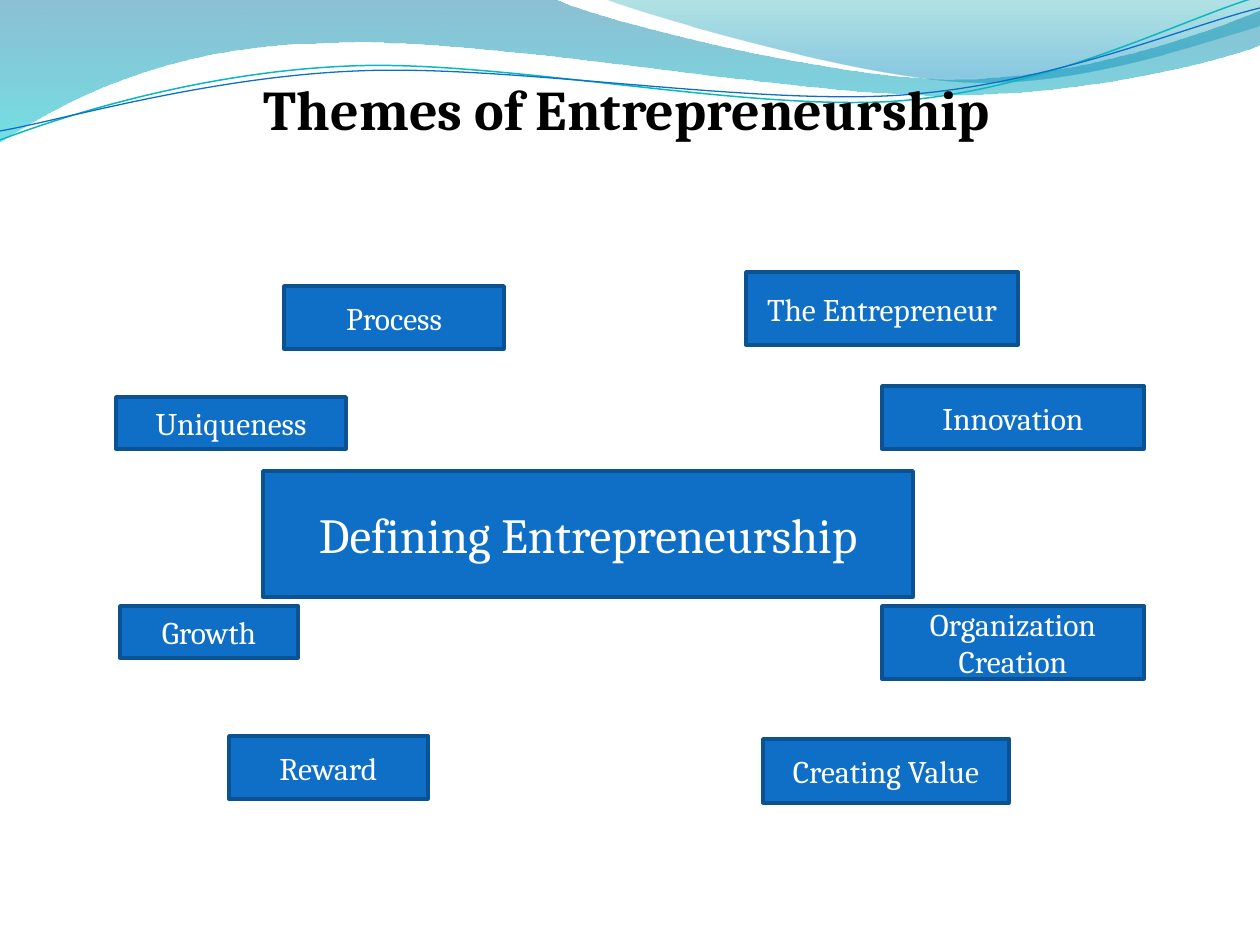
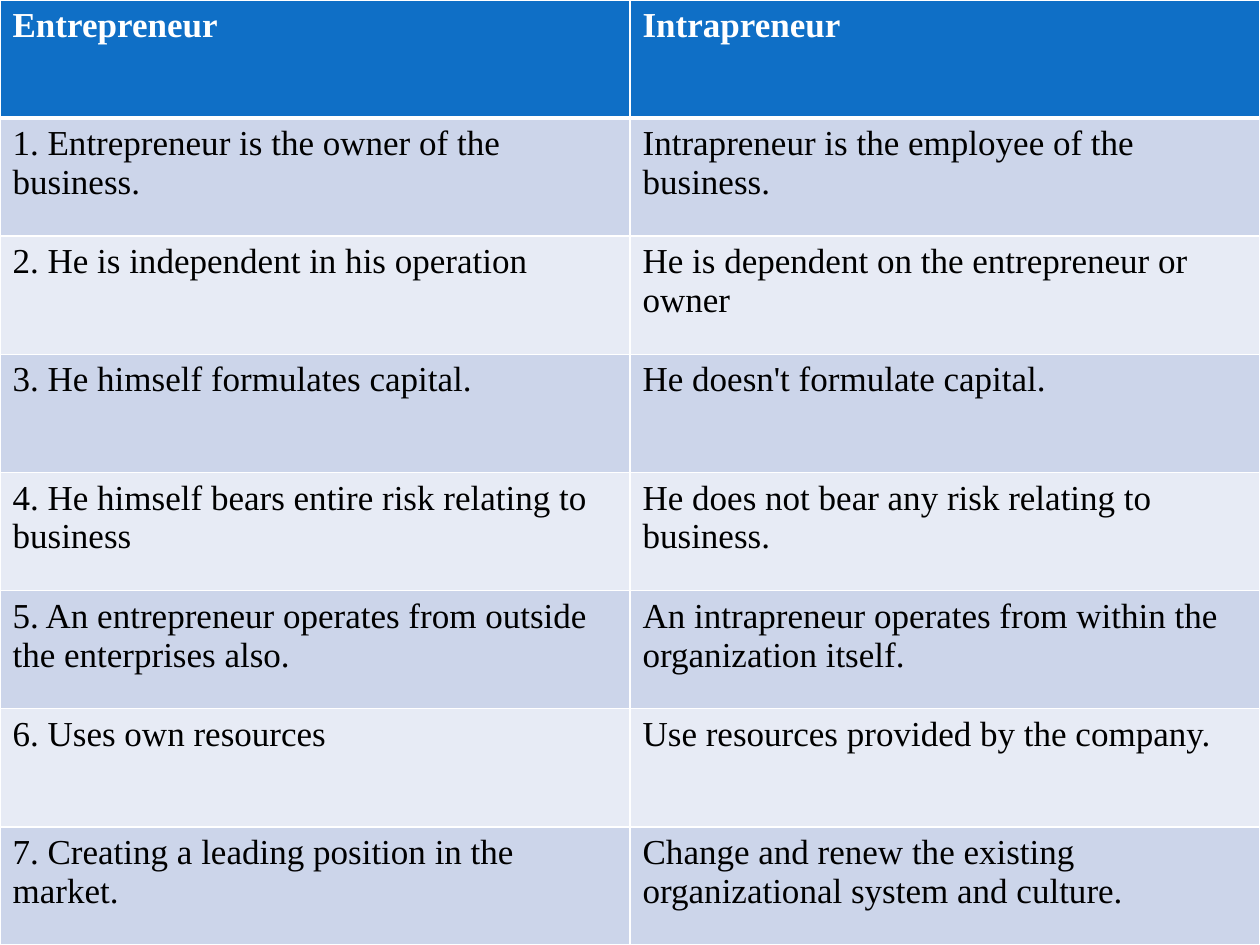
"""Build two slides on entrepreneurship: a map of themes and a comparison table."""
from lxml.etree import SubElement as Sub
from pptx import Presentation
from pptx.dml.color import RGBColor as Rgb
from pptx.enum.shapes import MSO_SHAPE as Kind
from pptx.enum.text import MSO_ANCHOR as Anchor, PP_ALIGN as Align
from pptx.oxml.ns import qn
from pptx.util import Pt

PX = 914400 / 126
WIDE, HIGH = 1260, 945
HUE = {
    "white": "FFFFFF", "black": "000000", "blue": "0F6FC6", "edge": "0B5292",
    "teal": "0AB8BF", "odd": "CCD5EA", "even": "E7EBF5",
    "deep": "0074A1", "cyan": "00C6CF", "sea": "00A1A9", "sky": "008BBF",
}
SERIF, ROMAN = "Cambria", "Times New Roman"


def write(frame, text, face, size, hue, bold=False):
    """Add one styled run to the first paragraph and return the paragraph."""
    para = frame.paragraphs[0]
    run = para.add_run()
    run.text = text
    run.font.name, run.font.size, run.font.bold = face, Pt(size), bold
    run.font.color.rgb = Rgb.from_string(HUE[hue])
    return para


def trace(slide, start, parts, close):
    """Draw an outline of line ends and cubic curves, and return the shape."""
    spots = [spot for part in parts for spot in zip(part[::2], part[1::2])]
    pen = slide.shapes.build_freeform(*start, scale=PX)
    pen.add_line_segments(spots, close=close)
    shape = pen.convert_to_shape()
    shape.shadow.inherit = False
    lines = iter(list(shape.element.iter(qn("a:lnTo"))))
    for part in parts:
        curve = next(lines)
        if len(part) == 6:
            curve.tag = qn("a:cubicBezTo")
            for _ in range(2):
                line = next(lines)
                curve.append(line[0])
                line.getparent().remove(line)
    return shape


deck = Presentation()
deck.slide_width, deck.slide_height = round(WIDE * PX), round(HIGH * PX)
blank = deck.slide_layouts[6]
themes = deck.slides.add_slide(blank)
decor = []

bands = [
    ((0, 0), [(554, -1), (600, 21, 837, 79, 955, 79),
              (1075, 79, 1207, 33, 1260, 11), (1261, 45),
              (1239, 55, 1096, 96, 940, 95), (784, 95, 481, 35, 324, 43),
              (163, 45, 58, 105, -1, 142)],
     [(0, "deep", 45), (1, "cyan", 55)]),
    ((604, -1), [(641, 14, 859, 78, 969, 82), (1079, 87, 1211, 40, 1260, 26),
                 (1260, 0)],
     [(0, "sea", 30), (0.8, "sky", 45)]),
]
for start, parts, stops in bands:
    band = trace(themes, start, parts, True)
    band.line.fill.background()
    band.fill.gradient()
    band.fill.gradient_angle = 270
    for stop, (place, hue, _) in zip(band.fill.gradient_stops, stops):
        stop.position = place
        stop.color.rgb = Rgb.from_string(HUE[hue])
    tints = band.element.spPr.iter(qn("a:srgbClr"))
    for tint, (_, _, alpha) in zip(list(tints), stops):
        Sub(tint, qn("a:alpha"), val=str(alpha * 1000))
    decor.append(band)

waves = [
    ((0, 140), [(60, 117, 199, 72, 349, 66), (498, 59, 747, 112, 898, 101),
                (1050, 89, 1182, 19, 1257, -3)], "teal", 0.85),
    ((0, 131), [(59, 121, 207, 77, 357, 71), (508, 64, 752, 106, 903, 95),
                (1053, 84, 1186, 26, 1260, 8)], "blue", 0.75),
]
for start, parts, hue, thick in waves:
    wave = trace(themes, start, parts, False)
    wave.fill.background()
    wave.line.color.rgb = Rgb.from_string(HUE[hue])
    wave.line.width = Pt(thick)
    decor.append(wave)

for shape in decor:
    blank.shapes._spTree.append(shape.element)

title = themes.shapes.add_textbox(0, 0, deck.slide_width, deck.slide_height)
frame = title.text_frame
frame.word_wrap = True
frame.margin_left, frame.margin_top = round(264 * PX), round(75 * PX)
write(frame, "Themes of Entrepreneurship", SERIF, 32, "black", True)

boxes = [
    ("Defining Entrepreneurship", 28, (263, 471, 650, 126)),
    ("Uniqueness", 18, (116, 397, 230, 52)),
    ("Process", 18, (284, 286, 220, 63)),
    ("The Entrepreneur", 18, (746, 272, 272, 73)),
    ("Innovation", 18, (882, 386, 262, 63)),
    ("Reward", 18, (229, 736, 199, 63)),
    ("Creating Value", 18, (763, 739, 246, 64)),
    ("Organization Creation", 18, (882, 606, 262, 73)),
    ("Growth", 18, (120, 606, 178, 52)),
]
for text, size, spot in boxes:
    box = themes.shapes.add_shape(Kind.RECTANGLE, *[round(n * PX) for n in spot])
    box.shadow.inherit = False
    box.fill.solid()
    box.fill.fore_color.rgb = Rgb.from_string(HUE["blue"])
    box.line.color.rgb = Rgb.from_string(HUE["edge"])
    box.line.width = Pt(2)
    box.text_frame.word_wrap = True
    box.text_frame.vertical_anchor = Anchor.MIDDLE
    write(box.text_frame, text, SERIF, size, "white").alignment = Align.CENTER

versus = deck.slides.add_slide(blank)
rows = [
    ("Entrepreneur", "Intrapreneur"),
    ("1. Entrepreneur is the owner of the business.",
     "Intrapreneur is the employee of the business."),
    ("2. He is independent in his operation",
     "He is dependent on the entrepreneur or owner"),
    ("3. He himself formulates capital.", "He doesn't formulate capital."),
    ("4. He himself bears entire risk relating to business",
     "He does not bear any risk relating to business."),
    ("5. An entrepreneur operates from outside the enterprises also.",
     "An intrapreneur operates from within the organization itself."),
    ("6. Uses own resources", "Use resources provided by the company."),
    ("7. Creating a leading position in the market.",
     "Change and renew the existing organizational system and culture."),
]
grid = versus.shapes.add_table(len(rows), 2, 0, 0, deck.slide_width,
                               deck.slide_height).table
for i, row in enumerate(rows):
    head = i == 0
    hue = "blue" if head else "odd" if i % 2 else "even"
    for j, text in enumerate(row):
        cell = grid.cell(i, j)
        props = cell._tc.get_or_add_tcPr()
        for side in "LRTB":
            thick = 3 if (head and side == "B") or (i == 1 and side == "T") else 1
            rule = Sub(props, qn("a:ln" + side), w=str(Pt(thick)))
            Sub(Sub(rule, qn("a:solidFill")), qn("a:srgbClr"), val=HUE["white"])
        cell.fill.solid()
        cell.fill.fore_color.rgb = Rgb.from_string(HUE[hue])
        write(cell.text_frame, text, ROMAN, 20, "white" if head else "black", head)

deck.save("out.pptx")
